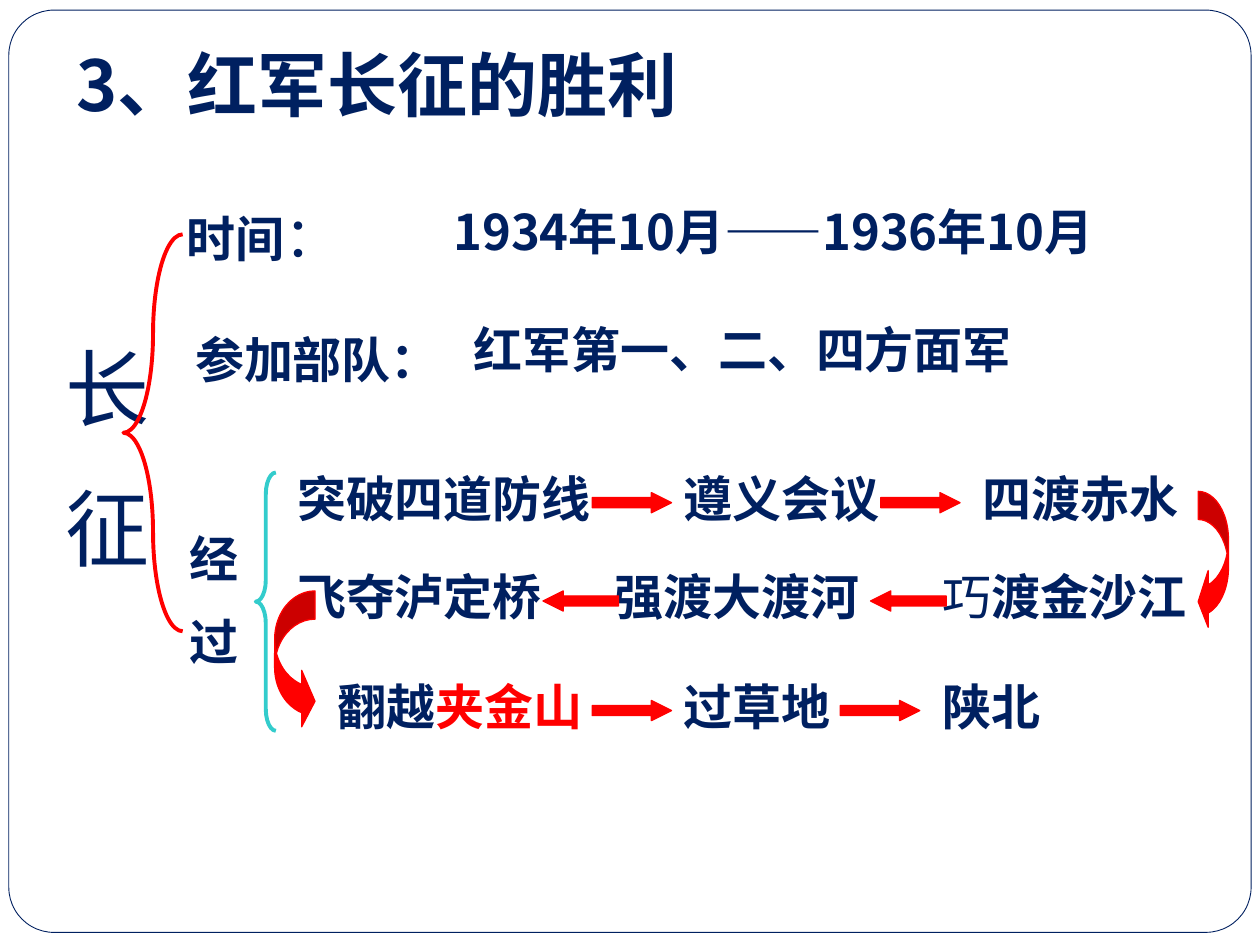
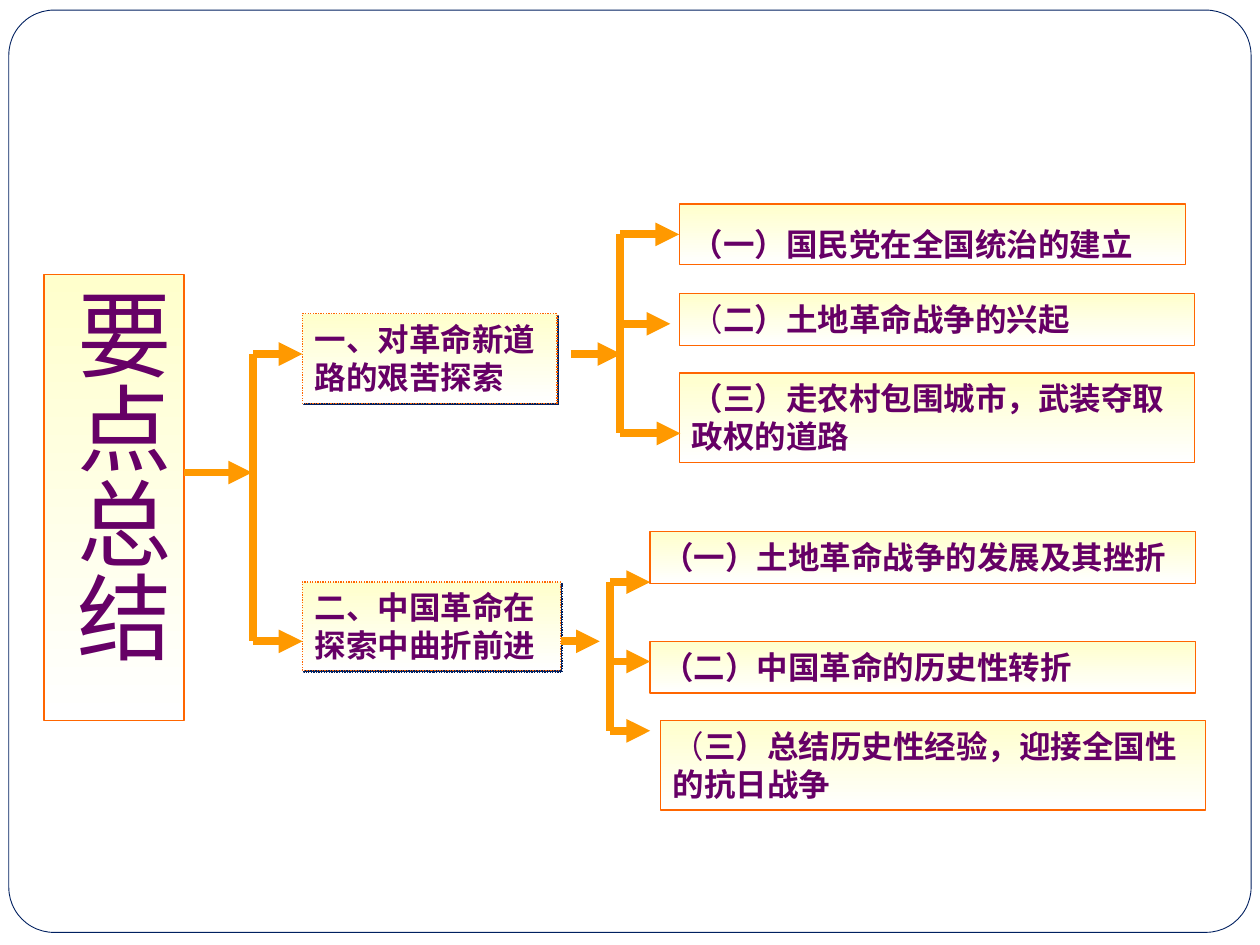
from dataclasses import dataclass, replace

from lxml.etree import SubElement as Sub
from pptx import Presentation
from pptx.dml.color import RGBColor as Rgb
from pptx.enum.dml import MSO_LINE as Dash
from pptx.enum.shapes import MSO_CONNECTOR as Link, MSO_SHAPE as Kind
from pptx.enum.text import MSO_ANCHOR as Anchor, MSO_AUTO_SIZE as Fit, PP_ALIGN as Align
from pptx.oxml.ns import qn
from pptx.util import Inches, Pt


@dataclass(frozen=True)
class Theme:
    """Colours, fonts and type sizes of the deck."""
    navy: str = "002060"
    red: str = "FF0000"
    teal: str = "33CCCC"
    plum: str = "660066"
    amber: str = "FF9900"
    rust: str = "FF6600"
    cream: str = "FFFFCC"
    white: str = "FFFFFF"
    jp: str = "Noto Sans CJK JP"
    sc: str = "Noto Sans CJK SC"
    title: int = 40
    body: int = 28
    colon: int = 32
    side: int = 48
    point: int = 18
    head: int = 54


T = Theme()


@dataclass(frozen=True)
class Style:
    """Look of a run; gap is extra letter spacing in points."""
    size: float = T.body
    font: str = T.sc
    color: str = T.navy
    bold: bool = True
    gap: float = 0


STEP = Style()
FACT = Style(font=T.jp)
SIDE = Style(T.side, T.jp, bold=False)
POINT = Style(T.point, color=T.plum)
THIN = replace(POINT, bold=False)
HEAD = Style(T.head, color=T.plum, bold=False)


def place(box):
    """Turn left, top, width and height into lengths."""
    return [Inches(n) for n in box]


def write(shape, runs, wrap=True, grow=True, align=Align.LEFT,
          anchor=Anchor.TOP, tall=False, lead=None):
    """Fill a shape with one paragraph of (text, style) runs."""
    frame = shape.text_frame
    frame.word_wrap = wrap
    frame.auto_size = Fit.SHAPE_TO_FIT_TEXT if grow else Fit.NONE
    frame.vertical_anchor = anchor
    if tall:
        frame._txBody.bodyPr.set("vert", "eaVert")
    para = frame.paragraphs[0]
    para.alignment = align
    if lead:
        para.line_spacing = lead
    for text, style in runs:
        run = para.add_run()
        run.text = text
        font = run.font
        font.size, font.bold, font.name = Pt(style.size), style.bold, style.font
        font.color.rgb = Rgb.from_string(style.color)
        props = run._r.get_or_add_rPr()
        Sub(props, qn("a:ea")).set("typeface", style.font)
        if style.gap:
            props.set("spc", str(int(style.gap * 100)))


def label(slide, box, *runs, **opts):
    """Add a plain text box."""
    write(slide.shapes.add_textbox(*place(box)), runs, **opts)


def draw(slide, kind, box, fill=None, line=None, width=0.75, adjust=()):
    """Add a preset shape with a flat fill and outline."""
    shape = slide.shapes.add_shape(kind, *place(box))
    for i, value in enumerate(adjust):
        shape.adjustments[i] = value
    if fill:
        shape.fill.solid()
        shape.fill.fore_color.rgb = Rgb.from_string(fill)
    else:
        shape.fill.background()
    if line:
        shape.line.color.rgb = Rgb.from_string(line)
        shape.line.width = Pt(width)
    else:
        shape.line.fill.background()
    shape.shadow.inherit = False
    return shape


def panel(slide, box, *runs, raised=False, **opts):
    """Add a cream gradient box, dotted and shadowed when raised."""
    shape = draw(slide, Kind.RECTANGLE, box, line=T.rust)
    shape.fill.gradient()
    shape.fill.gradient_angle = 270
    for stop, color in zip(shape.fill.gradient_stops, (T.cream, T.white)):
        stop.color.rgb = Rgb.from_string(color)
    if raised:
        shape.line.dash_style = Dash.ROUND_DOT
        glow = shape._element.spPr.find(qn("a:effectLst"))
        cast = Sub(glow, qn("a:outerShdw"), blurRad="0", dist=str(Pt(1.4)),
                   dir="2700000", algn="ctr", rotWithShape="0")
        Sub(cast, qn("a:srgbClr"), val=T.navy)
    write(shape, runs, **opts)
    return shape


def link(slide, start, end, tip=True):
    """Add a thick amber line, with an arrowhead if tip is set."""
    line = slide.shapes.add_connector(Link.STRAIGHT, *place(start + end))
    line.line.color.rgb = Rgb.from_string(T.amber)
    line.line.width = Pt(4.5)
    if tip:
        Sub(line.line._get_or_add_ln(), qn("a:tailEnd"), type="triangle")
    Sub(line._element.spPr, qn("a:effectLst"))
    return line


def fork(slide, stem, x, tips):
    """Draw a stem, a trunk at x and an arrow to each tip."""
    link(slide, *stem)
    link(slide, (x, tips[0][1]), (x, tips[-1][1]), tip=False)
    return [link(slide, (x, tip[1]), tip) for tip in tips]


def page(deck):
    """Add a blank slide with the rounded frame."""
    slide = deck.slides.add_slide(deck.slide_layouts[6])
    draw(slide, Kind.ROUNDED_RECTANGLE, (0.07, 0.08, 9.86, 7.32),
         T.white, T.navy, 0.5, (0.049,))
    return slide


def march(deck):
    """Build the slide on the Long March."""
    slide = page(deck)
    label(slide, (0.27, 2.65, 1.01, 2.65), ("长", replace(SIDE, gap=32)),
          ("征", SIDE), tall=True)
    draw(slide, Kind.LEFT_BRACE, (0.98, 1.86, 0.47, 3.15), None, T.red, 2.25, (2.45, 0.5))
    label(slide, (1.38, 1.55, 1.81, 0.63), ("时间", FACT),
          ("：", Style(T.colon, bold=False)))
    label(slide, (1.3, 2.57, 2.44, 0.57), ("参加部队：", FACT), align=Align.CENTER)
    label(slide, (1.3, 4.14, 0.67, 1.56), ("经", replace(FACT, gap=19.5)),
          ("过", FACT), tall=True)
    draw(slide, Kind.LEFT_BRACE, (2.03, 3.75, 0.16, 2.05), None, T.teal, 2.25, (1.08, 0.5))

    rows = (3.67, 4.45, 5.32)
    steps = [
        (0, 2.26, 2.6, [("突破四道防线", STEP)]),
        (0, 5.33, 1.83, [("遵义会议", STEP)]),
        (0, 7.7, 1.83, [("四渡赤水", STEP)]),
        (1, 7.38, 2.6, [("巧", replace(STEP, bold=False)), ("渡金沙江", STEP)]),
        (1, 4.78, 2.24, [("强渡大渡河", STEP)]),
        (1, 2.26, 2.15, [("飞夺泸定桥", STEP)]),
        (2, 2.58, 2.44, [("翻越", STEP), ("夹金山", replace(STEP, color=T.red))]),
        (2, 5.33, 1.5, [("过草地", STEP)]),
        (2, 7.38, 1.18, [("陕北", STEP)]),
    ]
    for row, left, width, runs in steps:
        label(slide, (left, rows[row], width, 0.57), *runs)

    right, back = Kind.RIGHT_ARROW, Kind.LEFT_ARROW
    for kind, row, left, width in [
        (right, 0, 4.7, 0.63), (right, 0, 6.99, 0.63),
        (back, 1, 6.91, 0.6), (back, 1, 4.31, 0.6),
        (right, 2, 4.7, 0.63), (right, 2, 6.67, 0.63),
    ]:
        draw(slide, kind, (left, rows[row] + 0.24, width, 0.16),
             T.red, T.red, adjust=(0.5, 1))
    draw(slide, Kind.CURVED_LEFT_ARROW, (9.51, 3.9, 0.24, 1.1),
         T.red, T.red, adjust=(0.93, 1.87, 0.33))
    draw(slide, Kind.CURVED_RIGHT_ARROW, (2.18, 4.69, 0.32, 1.1),
         T.red, T.red, adjust=(0.7, 1.4, 0.33))

    dates = draw(slide, Kind.RECTANGLE, (3.5, 1.55, 5.95, 0.57), T.white)
    write(dates, [("1934年10月——1936年10月", FACT)])
    troops = draw(slide, Kind.RECTANGLE, (3.66, 2.49, 4.52, 0.57), T.white)
    write(troops, [("红军第一、二、四方面军", FACT)], wrap=False)
    label(slide, (0.51, 0.28, 8.84, 0.93),
          ("3、红军长征的胜利", replace(FACT, size=T.title)), grow=False)


def recap(deck):
    """Build the summary tree."""
    slide = page(deck)
    panel(slide, (0.35, 2.18, 1.11, 3.54), ("要点总结", HEAD),
          align=Align.CENTER, tall=True)
    panel(slide, (2.4, 2.49, 2.02, 0.71), ("一、对革命新道路的艰苦探索", POINT), raised=True)
    panel(slide, (2.4, 4.62, 2.05, 0.7), ("二、中国革命在探索中曲折前进", POINT),
          raised=True, anchor=Anchor.MIDDLE)

    first = panel(slide, (5.39, 1.62, 4.02, 0.48),
                  ("（一）国民党在全国统治的建立", POINT), lead=1.4)
    for box, runs in [
        ((5.39, 2.33, 4.09, 0.41), [("（", THIN), ("二）土地革命战争的兴起", POINT)]),
        ((5.39, 2.96, 4.09, 0.71), [("（三）走农村包围城市，武装夺取政权的道路", POINT)]),
        ((5.16, 4.22, 4.33, 0.41), [("（一）土地革命战争的发展及其挫折", POINT)]),
        ((5.16, 5.09, 4.33, 0.41), [("（二）中国革命的历史性转折", POINT)]),
        ((5.24, 5.72, 4.33, 0.71),
         [("（", THIN), ("三）总结历史性经验，迎接全国性的抗日战争", POINT)]),
    ]:
        panel(slide, box, *runs)

    fork(slide, ((1.46, 3.75), (2, 3.75)), 2.01, [(2.4, 2.81), (2.4, 5.09)])
    upper = fork(slide, ((4.53, 2.81), (4.93, 2.81)), 4.92,
                 [(5.39, 1.86), (5.32, 2.57), (5.4, 3.44)])
    upper[0].end_connect(first, 1)
    fork(slide, ((4.45, 5.09), (4.76, 5.09)), 4.84,
         [(5.16, 4.62), (5.16, 5.25), (5.16, 5.8)])


def main():
    """Build and save the deck."""
    deck = Presentation()
    deck.slide_width, deck.slide_height = Inches(10), Inches(7.5)
    march(deck)
    recap(deck)
    deck.save("out.pptx")


if __name__ == "__main__":
    main()
